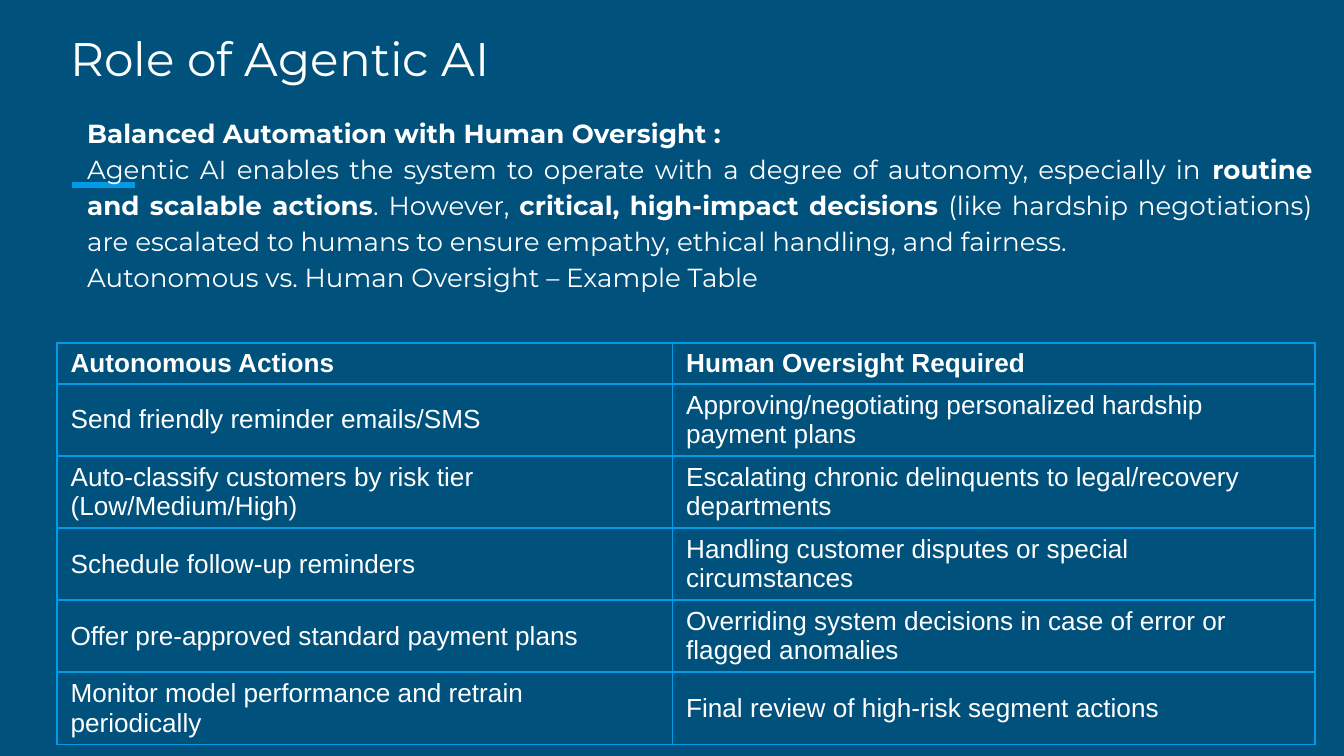
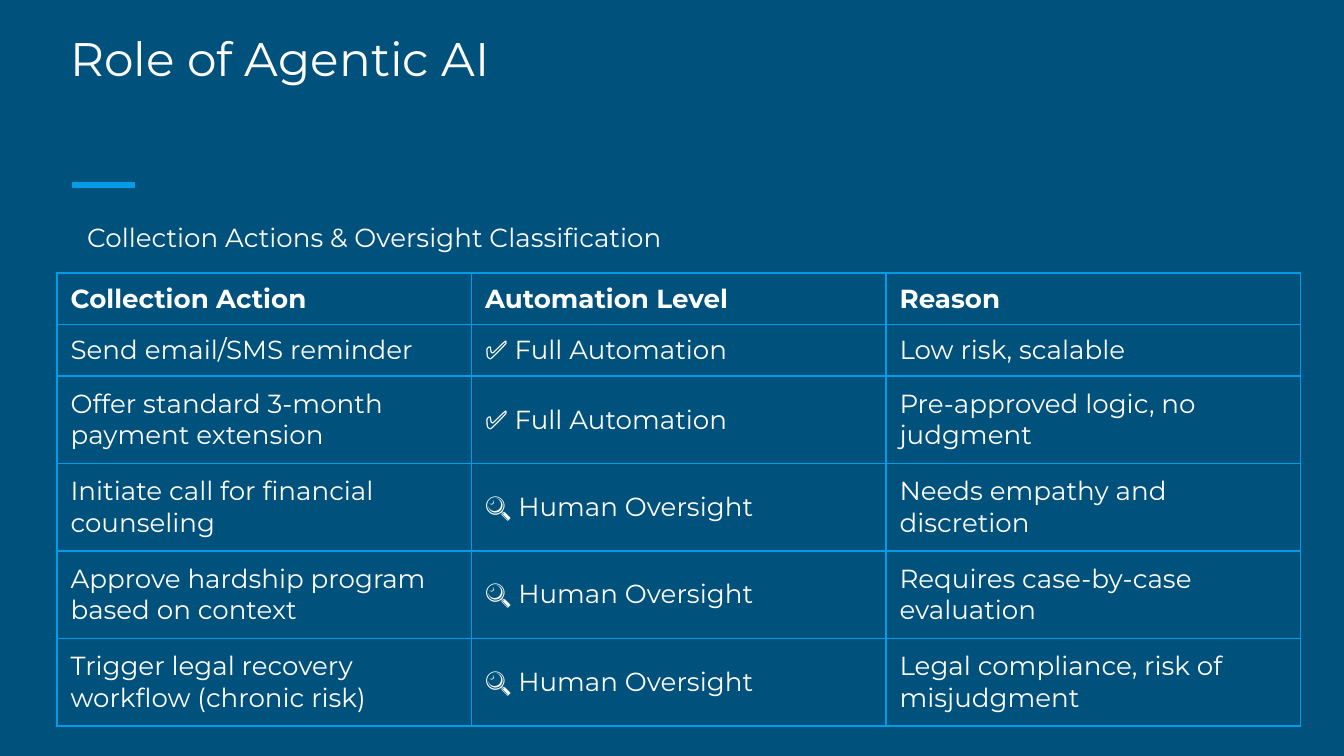
"""Builds two slides on the role of agentic AI, each with a lead text and a table."""
from lxml import etree
from pptx import Presentation
from pptx.dml.color import RGBColor
from pptx.enum.shapes import MSO_CONNECTOR
from pptx.enum.text import MSO_ANCHOR, PP_ALIGN
from pptx.oxml.ns import qn
from pptx.util import Inches, Pt

NAVY = RGBColor(0x00, 0x51, 0x7C)
SKY = RGBColor(0x03, 0x9B, 0xE5)
WHITE = RGBColor(0xFF, 0xFF, 0xFF)
LEFT, JUST = PP_ALIGN.LEFT, PP_ALIGN.JUSTIFY
TOP, MID, LOW = MSO_ANCHOR.TOP, MSO_ANCHOR.MIDDLE, MSO_ANCHOR.BOTTOM
LINE = MSO_CONNECTOR.STRAIGHT
SANS, MONT = "Arial", "Montserrat"

W = Inches(10)
H = W * 9 // 16
COL, ROW = W / 100, H / 100
EDGE = 4.25
TITLE = "Role of Agentic AI"

PAGES = [
    {
        "lead": [
            "**Balanced Automation with Human Oversight :**",
            "Agentic AI enables the system to operate with a degree of autonomy, "
            "especially in **routine and scalable actions**. However, "
            "**critical, high-impact decisions** (like hardship negotiations) are "
            "escalated to humans to ensure empathy, ethical handling, and fairness.",
            "Autonomous vs. Human Oversight – Example Table",
        ],
        "box": (13.17, 32.2),
        "top": 45.37,
        "font": SANS,
        "pad": 2.5,
        "cols": [45.8, 47.8],
        "rows": [5.16] + [8.9] * 4 + [5.16],
        "cells": [
            ["Autonomous Actions", "Human Oversight Required"],
            ["Send friendly reminder emails/SMS",
             "Approving/negotiating personalized hardship payment plans"],
            ["Auto-classify customers by risk tier (Low/Medium/High)",
             "Escalating chronic delinquents to legal/recovery departments"],
            ["Schedule follow-up reminders",
             "Handling customer disputes or special circumstances"],
            ["Offer pre-approved standard payment plans",
             "Overriding system decisions in case of error or flagged anomalies"],
            ["Monitor model performance and retrain periodically",
             "Final review of high-risk segment actions"],
        ],
    },
    {
        "lead": ["Collection Actions & Oversight Classification"],
        "box": (26.87, 8),
        "top": 36.12,
        "font": MONT,
        "pad": 3.6,
        "cols": [30.84] * 3,
        "rows": [6.81] * 2 + [11.57] * 4,
        "cells": [
            ["Collection Action", "Automation Level", "Reason"],
            ["Send email/SMS reminder", "✅ Full Automation", "Low risk, scalable"],
            ["Offer standard 3-month payment extension", "✅ Full Automation",
             "Pre-approved logic, no judgment"],
            ["Initiate call for financial counseling", "🔍 Human Oversight",
             "Needs empathy and discretion"],
            ["Approve hardship program based on context", "🔍 Human Oversight",
             "Requires case-by-case evaluation"],
            ["Trigger legal recovery workflow (chronic risk)", "🔍 Human Oversight",
             "Legal compliance, risk of misjudgment"],
        ],
    },
]


def write(frame, texts, size=14, font=MONT, align=LEFT, space=1, dent=0):
    """Fill a text frame; words between double stars are bold."""
    frame.word_wrap = True
    for i, text in enumerate(texts):
        para = frame.paragraphs[0] if i == 0 else frame.add_paragraph()
        para.alignment, para.line_spacing = align, space
        para._p.get_or_add_pPr().set("marL", str(Pt(dent)))
        for j, part in enumerate(text.split("**")):
            if part:
                run = para.add_run()
                run.text = part
                run.font.size, run.font.name = Pt(size), font
                run.font.bold = j % 2 == 1
                run.font.color.rgb = WHITE


def frame_cell(cell):
    """Draw the four borders of a table cell and leave it unfilled."""
    props = cell._tc.get_or_add_tcPr()
    for side in "LRTB":
        edge = etree.SubElement(props, qn(f"a:ln{side}"), w=str(Pt(1)))
        fill = etree.SubElement(edge, qn("a:solidFill"))
        etree.SubElement(fill, qn("a:srgbClr"), val=str(SKY))
    cell.fill.background()


deck = Presentation()
deck.slide_width, deck.slide_height = W, H

for page in PAGES:
    slide = deck.slides.add_slide(deck.slide_layouts[6])
    slide.background.fill.solid()
    slide.background.fill.fore_color.rgb = NAVY

    dash = slide.shapes.add_connector(
        LINE, int(5.36 * COL), int(24.5 * ROW), int(10.04 * COL), int(24.5 * ROW))
    dash.line.color.rgb, dash.line.width = SKY, Pt(3)
    etree.SubElement(dash._element.spPr, qn("a:effectLst"))

    top, high = page["box"]
    lead = {"align": JUST, "space": 1.15, "dent": 9}
    for y, wide, tall, anchor, texts, form in [
        (4.1, 91.5, 9.07, LOW, [TITLE], {"size": 25.2}),
        (top, 94.4, high, TOP, page["lead"], lead),
    ]:
        box = slide.shapes.add_textbox(
            int(EDGE * COL), int(y * ROW), int(wide * COL), int(tall * ROW))
        frame = box.text_frame
        frame.margin_left = frame.margin_right = Inches(0.1)
        frame.margin_top = frame.margin_bottom = Inches(0.1)
        frame.vertical_anchor = anchor
        write(frame, texts, **form)

    cols, rows = page["cols"], page["rows"]
    grid = slide.shapes.add_table(
        len(rows), len(cols), int(EDGE * COL), int(page["top"] * ROW),
        int(sum(cols) * COL), int(sum(rows) * ROW)).table
    grid.first_row = grid.horz_banding = False
    for c, wide in enumerate(cols):
        grid.columns[c].width = int(wide * COL)
    for r, tall in enumerate(rows):
        grid.rows[r].height = int(tall * ROW)
        for c, text in enumerate(page["cells"][r]):
            cell = grid.cell(r, c)
            cell.vertical_anchor = MID
            cell.margin_top = cell.margin_bottom = Pt(page["pad"])
            frame_cell(cell)
            write(cell.text_frame, [f"**{text}**" if r == 0 else text],
                  font=page["font"])

deck.save("out.pptx")
